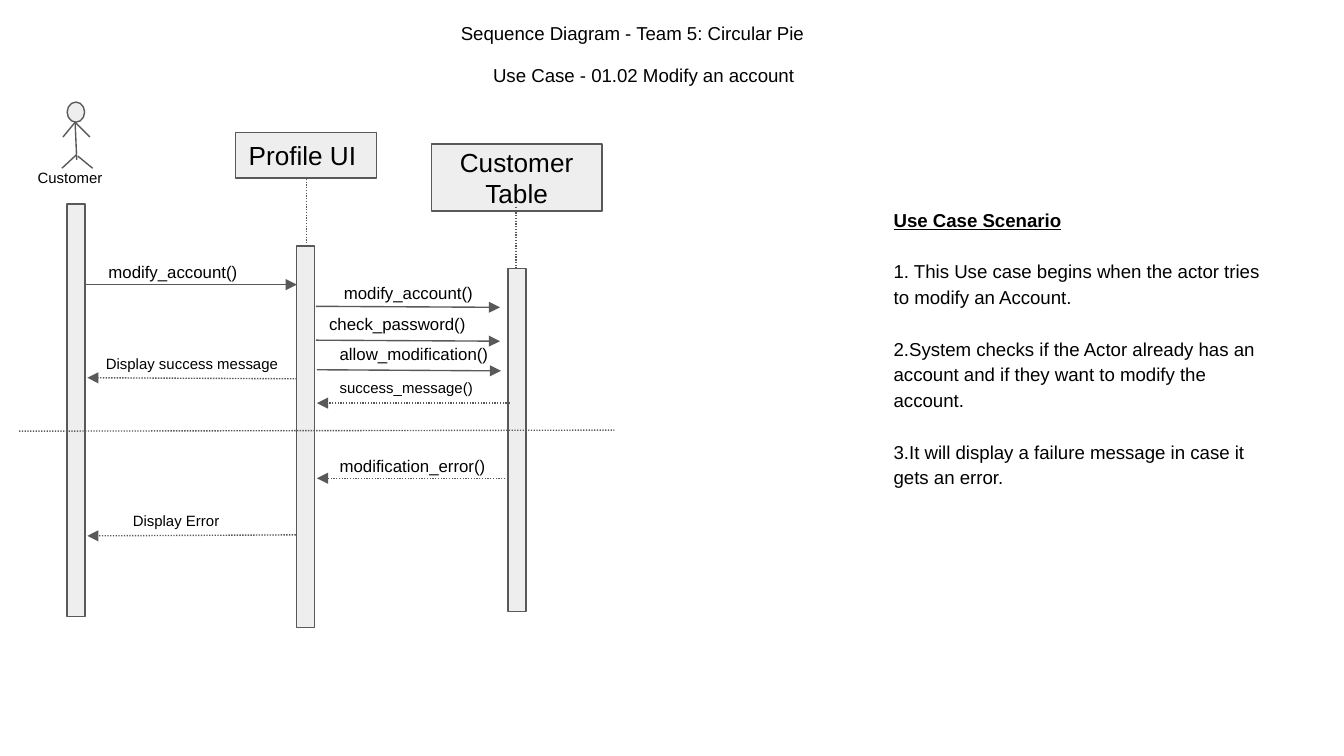
import pptx
import pptx.dml.color
import pptx.enum.dml
import pptx.enum.shapes
import pptx.enum.text
import pptx.oxml
import pptx.oxml.ns
import pptx.util

Cm = pptx.util.Cm
Pt = pptx.util.Pt
Shapes = pptx.enum.shapes.MSO_SHAPE
Align = pptx.enum.text.PP_ALIGN

BLACK = pptx.dml.color.RGBColor(0x00, 0x00, 0x00)
GREY = pptx.dml.color.RGBColor(0x59, 0x59, 0x59)
PALE = pptx.dml.color.RGBColor(0xEE, 0xEE, 0xEE)

BODY = {"name": "Arial", "size": Pt(10)}
HEADING = {**BODY, "bold": True, "underline": True}
LABEL = {**BODY, "size": Pt(9)}
SMALL = {**BODY, "size": Pt(8)}
PARTICIPANT = {**BODY, "size": Pt(14)}

BAR_WIDTH = 0.34
LABEL_HEIGHT = 0.88

TITLES = [
    ("Sequence Diagram - Team 5: Circular Pie", 0, 0, 7.82),
    ("Use Case - 01.02 Modify an account", 0.61, 0.79, 6.63),
]
BARS = [(0.91, 1.93, 7.8), (5.25, 2.72, 7.21), (9.24, 3.15, 6.48)]
PARTICIPANTS = [
    ("Profile UI", (4.09, 0.58, 2.67, 0.86), Align.LEFT),
    ("Customer Table", (7.79, 0.79, 3.23, 1.27), Align.CENTER),
]
STEMS = [(5.43, 1.45, 5.43, 2.72), (9.39, 1.98, 9.39, 3.15)]
MESSAGES = [
    ("modify_account()", LABEL, (1.44, 2.82, 3.23), (1.24, 3.45, 5.25, 3.45), False),
    ("modify_account()", LABEL, (5.89, 3.23, 3.61), (5.61, 3.86, 9.09, 3.88), False),
    ("check_password()", LABEL, (5.61, 3.81, 3.23), (5.61, 4.5, 9.09, 4.52), False),
    ("allow_modification()", LABEL, (5.81, 4.37, 3.63), (5.63, 5.06, 9.11, 5.08), False),
    ("Display success message", SMALL, (1.39, 4.6, 4.27), (5.25, 5.23, 1.29, 5.21), True),
    ("success_message()", SMALL, (5.81, 5.06, 3.23), (9.27, 5.69, 5.63, 5.69), True),
    ("modification_error()", LABEL, (5.81, 6.5, 4.5), (9.24, 7.11, 5.63, 7.11), True),
    ("Display Error", SMALL, (1.9, 7.57, 3.1), (5.23, 8.18, 1.29, 8.2), True),
]
LIMBS = [
    (0.25, 0.38, 0.28, 1.09),
    (0.53, 0.66, 0.25, 0.38),
    (0.25, 0.38, 0.02, 0.66),
    (0.28, 0.99, 0, 1.25),
    (0.3, 1.02, 0.58, 1.25),
]
SCENARIO = [
    ("Use Case Scenario", HEADING),
    ("1. This Use case begins when the actor tries to modify an Account.", BODY),
    ("2.System checks if the Actor already has an account and if they want to "
     "modify the account.", BODY),
    ("3.It will display a failure message in case it gets an error.", BODY),
]


def write(paragraph, text, font_format):
    """Put formatted text in a paragraph."""
    paragraph.text = text
    for name, value in font_format.items():
        setattr(paragraph.font, name, value)
    paragraph.font.color.rgb = BLACK


def set_frame(frame, **values):
    """Apply even insets and the given values to a text frame."""
    margins = dict.fromkeys(
        ("margin_left", "margin_top", "margin_right", "margin_bottom"), Cm(0.25))
    for name, value in {**margins, "word_wrap": True, **values}.items():
        setattr(frame, name, value)


def add_text(slide, box, text="", font_format=BODY):
    """Add a text box that grows with its text."""
    frame = slide.shapes.add_textbox(*map(Cm, box)).text_frame
    set_frame(frame, auto_size=pptx.enum.text.MSO_AUTO_SIZE.SHAPE_TO_FIT_TEXT)
    write(frame.paragraphs[0], text, font_format)
    return frame


def add_block(slide, kind, box):
    """Add a pale outlined shape."""
    shape = slide.shapes.add_shape(kind, *map(Cm, box))
    shape.shadow.inherit = False
    shape.fill.solid()
    shape.fill.fore_color.rgb = PALE
    shape.line.color.rgb = GREY
    shape.line.width = Pt(0.75)
    return shape


def add_line(slide, origin, ends, dotted=False, arrow=False):
    """Draw a line between two points measured from an origin."""
    left, top = origin
    x1, y1, x2, y2 = ends
    line = slide.shapes.add_connector(
        pptx.enum.shapes.MSO_CONNECTOR.STRAIGHT,
        Cm(left + x1), Cm(top + y1), Cm(left + x2), Cm(top + y2))
    line.line.color.rgb = GREY
    line.line.width = Pt(0.75)
    if dotted:
        line.line.dash_style = pptx.enum.dml.MSO_LINE.ROUND_DOT
    namespace = pptx.oxml.ns.nsdecls("a")
    if arrow:
        line.line._get_or_add_ln().append(
            pptx.oxml.parse_xml(f'<a:tailEnd {namespace} type="triangle"/>'))
    line._element.spPr.append(pptx.oxml.parse_xml(f"<a:effectLst {namespace}/>"))


def add_titles(slide, left, top):
    """Add the two title lines."""
    for text, x, y, width in TITLES:
        add_text(slide, (left + x, top + y, width, 0.94), text)


def add_actor(slide, left, top):
    """Draw the stick figure and its name."""
    add_block(slide, Shapes.OVAL, (left + 0.1, top, 0.33, 0.38))
    for ends in LIMBS:
        add_line(slide, (left, top), ends)
    add_text(slide, (left - 0.71, top + 1.09, 1.96, LABEL_HEIGHT), "Customer", SMALL)


def add_lifelines(slide, left, top):
    """Draw the participants, their stems and activation bars."""
    for x, y, height in BARS:
        add_block(slide, Shapes.RECTANGLE, (left + x, top + y, BAR_WIDTH, height))
    for text, (x, y, width, height), alignment in PARTICIPANTS:
        shape = add_block(slide, Shapes.RECTANGLE, (left + x, top + y, width, height))
        set_frame(shape.text_frame, vertical_anchor=pptx.enum.text.MSO_ANCHOR.MIDDLE)
        paragraph = shape.text_frame.paragraphs[0]
        write(paragraph, text, PARTICIPANT)
        paragraph.alignment = alignment
    for ends in STEMS:
        add_line(slide, (left, top), ends, dotted=True)


def add_messages(slide, left, top):
    """Draw the labelled arrows and the divider between outcomes."""
    for text, font_format, (x, y, width), ends, dotted in MESSAGES:
        add_line(slide, (left, top), ends, dotted, arrow=True)
        add_text(slide, (left + x, top + y, width, LABEL_HEIGHT), text, font_format)
    add_line(slide, (left, top), (0, 6.22, 11.25, 6.2), dotted=True)


def add_scenario(slide, left, top, width, height):
    """Write the use case scenario."""
    frame = add_text(slide, (left, top, width, height))
    for index, (text, font_format) in enumerate(SCENARIO):
        paragraph = frame.add_paragraph() if index else frame.paragraphs[0]
        write(paragraph, text, font_format)
        paragraph.line_spacing = 1.15
        if index:
            paragraph.space_before = Pt(13.8)


def main():
    """Build and save the slide."""
    presentation = pptx.Presentation()
    presentation.slide_width = Cm(25.4)
    presentation.slide_height = Cm(14.29)
    slide = presentation.slides.add_slide(presentation.slide_layouts[6])
    add_titles(slide, 8.46, 0.2)
    add_actor(slide, 1.17, 1.93)
    add_lifelines(slide, 0.36, 1.93)
    add_messages(slide, 0.36, 1.93)
    add_scenario(slide, 16.64, 3.63, 7.54, 5.87)
    presentation.save("out.pptx")


if __name__ == "__main__":
    main()
